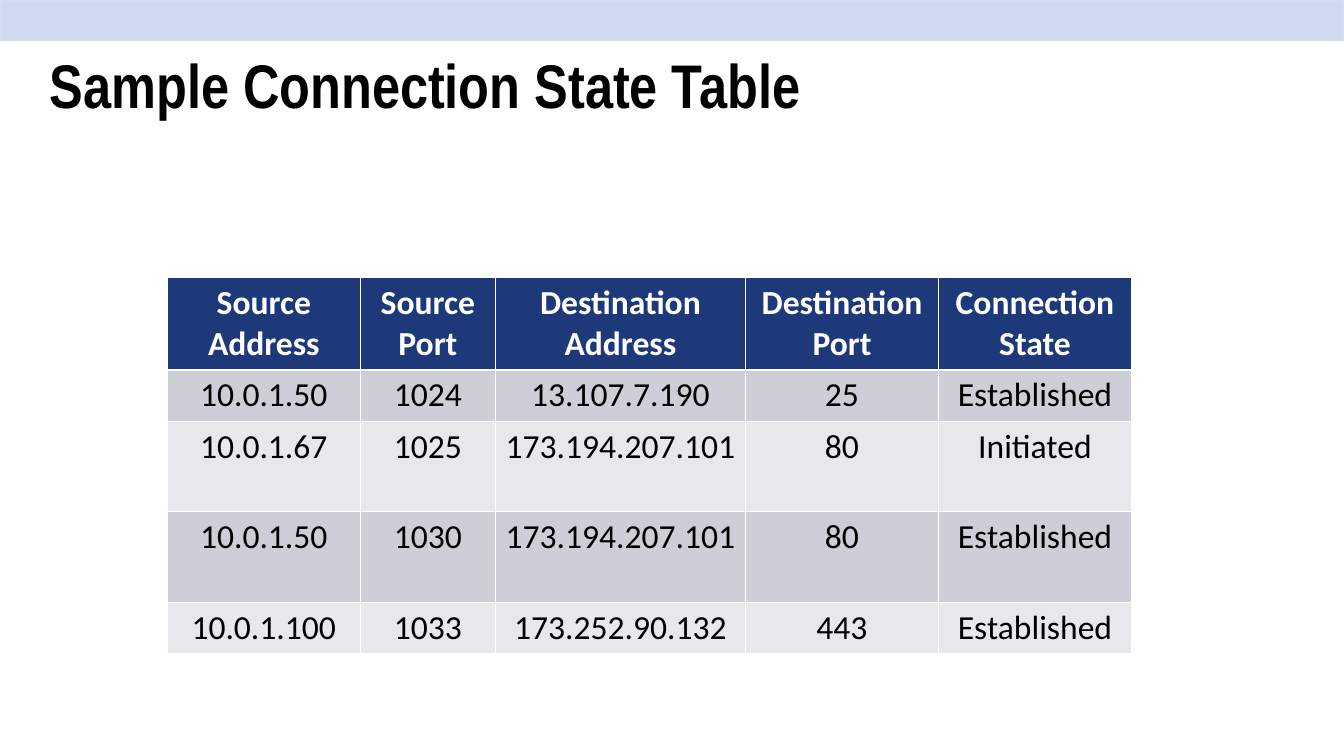
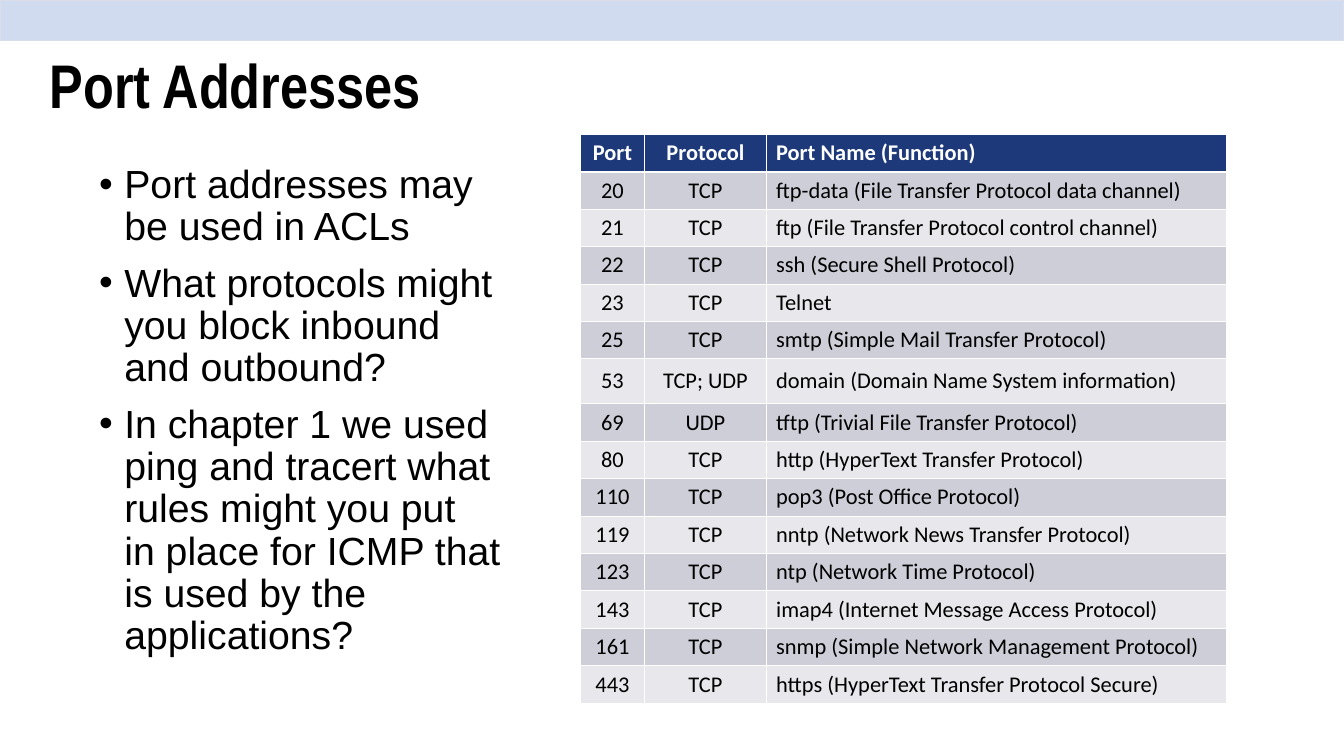
from dataclasses import dataclass

from lxml import etree
from pptx import Presentation
from pptx.dml.color import RGBColor
from pptx.enum.shapes import MSO_SHAPE
from pptx.enum.text import MSO_ANCHOR, MSO_AUTO_SIZE, PP_ALIGN
from pptx.oxml.ns import qn
from pptx.util import Pt

RECTANGLE = MSO_SHAPE.RECTANGLE
TOP, MIDDLE = MSO_ANCHOR.TOP, MSO_ANCHOR.MIDDLE
NO_AUTOFIT = MSO_AUTO_SIZE.NONE
LEFT, CENTER = PP_ALIGN.LEFT, PP_ALIGN.CENTER

TITLE_ONLY, TITLE_AND_BODY = 5, 1
BODY_INDEX = 1
SLIDE_WIDTH, SLIDE_HEIGHT = 1440, 810


@dataclass(frozen=True)
class Theme:
    band: str = "D1DBF0"
    band_line: str = "D9DEEA"
    text: str = "000000"
    header: str = "1D397A"
    header_text: str = "FFFFFF"
    grid: str = "FFFFFF"
    rows: tuple = ("CDCED7", "E8E8EC")
    title_font: str = "Arial Narrow"
    body_font: str = "Arial"
    table_font: str = "Calibri"
    title_size: int = 66
    body_size: int = 42
    large_table_size: int = 36
    small_table_size: int = 24
    line_spacing: float = 0.9
    bullet_gap: int = 15
    bullet_indent: int = 27


class Deck:
    def __init__(self, theme):
        self.theme = theme
        self.presentation = Presentation()
        self.presentation.slide_width = Pt(SLIDE_WIDTH)
        self.presentation.slide_height = Pt(SLIDE_HEIGHT)
        self.slide = None

    def add_slide(self, layout_index, title):
        layout = self.presentation.slide_layouts[layout_index]
        self.slide = self.presentation.slides.add_slide(layout)
        self.add_band()
        self.add_title(title)

    def add_band(self):
        """Draw the top band behind everything else on the slide."""
        shapes = self.slide.shapes
        band = shapes.add_shape(RECTANGLE, Pt(0), Pt(0), Pt(SLIDE_WIDTH), Pt(43.2))
        band.shadow.inherit = False
        band.fill.solid()
        band.fill.fore_color.rgb = RGBColor.from_string(self.theme.band)
        band.line.color.rgb = RGBColor.from_string(self.theme.band_line)
        band.line.width = Pt(1)
        shapes.element.insert(2, band.element)

    def place(self, shape, left, top, width, height, anchor):
        shape.left, shape.top = Pt(left), Pt(top)
        shape.width, shape.height = Pt(width), Pt(height)
        frame = shape.text_frame
        frame.word_wrap = True
        frame.auto_size = NO_AUTOFIT
        frame.vertical_anchor = anchor
        return frame

    def add_run(self, paragraph, text, font, size, color, bold=False):
        run = paragraph.add_run()
        run.text = text
        run.font.name = font
        run.font.size = Pt(size)
        run.font.bold = bold
        run.font.color.rgb = RGBColor.from_string(color)

    def add_title(self, text):
        theme = self.theme
        frame = self.place(self.slide.shapes.title, 46, 16.4, 1242, 156.2, MIDDLE)
        paragraph = frame.paragraphs[0]
        paragraph.alignment = LEFT
        paragraph.line_spacing = theme.line_spacing
        self.add_run(paragraph, text, theme.title_font, theme.title_size,
                     theme.text, bold=True)

    def add_bullets(self, items):
        """Fill the body; each item is a tuple of the lines of one bullet."""
        theme = self.theme
        body = self.slide.placeholders[BODY_INDEX]
        frame = self.place(body, 99, 172.8, 1242, 548.6, TOP)
        for number, lines in enumerate(items):
            paragraph = frame.add_paragraph() if number else frame.paragraphs[0]
            properties = paragraph._p.get_or_add_pPr()
            properties.set("marL", str(Pt(theme.bullet_indent)))
            properties.set("indent", str(-Pt(theme.bullet_indent)))
            paragraph.line_spacing = theme.line_spacing
            paragraph.space_before = Pt(theme.bullet_gap if number else 0)
            for line_number, line in enumerate(lines):
                if line_number:
                    paragraph.add_line_break()
                self.add_run(paragraph, line, theme.body_font, theme.body_size,
                             theme.text)

    def add_table(self, left, top, widths, heights, rows, size, alignments, anchor):
        theme = self.theme
        table = self.slide.shapes.add_table(
            len(rows), len(widths), Pt(left), Pt(top),
            Pt(sum(widths)), Pt(sum(heights))).table
        for column, width in zip(table.columns, widths):
            column.width = Pt(width)
        for row, height in zip(table.rows, heights):
            row.height = Pt(height)
        for row_index, values in enumerate(rows):
            header = row_index == 0
            fill = theme.header if header else theme.rows[(row_index - 1) % 2]
            color = theme.header_text if header else theme.text
            for column_index, value in enumerate(values):
                cell = table.cell(row_index, column_index)
                self.style_cell(cell, fill, anchor,
                                top_line=3 if row_index == 1 else 1,
                                bottom_line=3 if header else 1)
                paragraph = cell.text_frame.paragraphs[0]
                paragraph.alignment = alignments[column_index]
                self.add_run(paragraph, value, theme.table_font, size, color, header)

    def style_cell(self, cell, fill, anchor, top_line, bottom_line):
        cell.fill.solid()
        cell.fill.fore_color.rgb = RGBColor.from_string(fill)
        cell.vertical_anchor = anchor
        cell.margin_left = cell.margin_right = Pt(10.8)
        cell.margin_top = cell.margin_bottom = Pt(5.4)
        properties = cell._tc.get_or_add_tcPr()
        borders = (("a:lnL", 1), ("a:lnR", 1), ("a:lnT", top_line), ("a:lnB", bottom_line))
        for position, (tag, width) in enumerate(borders):
            line = etree.Element(qn(tag), w=str(Pt(width)))
            solid = etree.SubElement(line, qn("a:solidFill"))
            etree.SubElement(solid, qn("a:srgbClr"), val=self.theme.grid)
            properties.insert(position, line)


CONNECTIONS = [
    ("Source Address", "Source Port", "Destination Address", "Destination Port",
     "Connection State"),
    ("10.0.1.50", "1024", "13.107.7.190", "25", "Established"),
    ("10.0.1.67", "1025", "173.194.207.101", "80", "Initiated"),
    ("10.0.1.50", "1030", "173.194.207.101", "80", "Established"),
    ("10.0.1.100", "1033", "173.252.90.132", "443", "Established"),
]

PORTS = [
    ("Port", "Protocol", "Port Name (Function)"),
    ("20", "TCP", "ftp-data (File Transfer Protocol data channel)"),
    ("21", "TCP", "ftp (File Transfer Protocol control channel)"),
    ("22", "TCP", "ssh (Secure Shell Protocol)"),
    ("23", "TCP", "Telnet"),
    ("25", "TCP", "smtp (Simple Mail Transfer Protocol)"),
    ("53", "TCP; UDP", "domain (Domain Name System information)"),
    ("69", "UDP", "tftp (Trivial File Transfer Protocol)"),
    ("80", "TCP", "http (HyperText Transfer Protocol)"),
    ("110", "TCP", "pop3 (Post Office Protocol)"),
    ("119", "TCP", "nntp (Network News Transfer Protocol)"),
    ("123", "TCP", "ntp (Network Time Protocol)"),
    ("143", "TCP", "imap4 (Internet Message Access Protocol)"),
    ("161", "TCP", "snmp (Simple Network Management Protocol)"),
    ("443", "TCP", "https (HyperText Transfer Protocol Secure)"),
]

PORT_QUESTIONS = [
    ("Port addresses may", "be used in ACLs"),
    ("What protocols might", "you block inbound", "and outbound?"),
    ("In chapter 1 we used", "ping and tracert what", "rules might you put",
     "in place for ICMP that", "is used by the", "applications?"),
]


def add_state_table_slide(deck):
    deck.add_slide(TITLE_ONLY, "Sample Connection State Table")
    deck.add_table(179.3, 297.4, widths=(206.8, 144.8, 267.9, 206.8, 206.8),
                   heights=(97.2, 54, 97.2, 97.2, 54), rows=CONNECTIONS,
                   size=deck.theme.large_table_size,
                   alignments=[CENTER] * 5, anchor=TOP)


def add_port_slide(deck):
    deck.add_slide(TITLE_AND_BODY, "Port Addresses")
    deck.add_bullets(PORT_QUESTIONS)
    heights = [48.2 if port == "53" else 39.6 for port, _, _ in PORTS]
    deck.add_table(621.6, 144, widths=(69.3, 129.9, 493.7), heights=heights,
                   rows=PORTS, size=deck.theme.small_table_size,
                   alignments=(CENTER, CENTER, LEFT), anchor=MIDDLE)


def main():
    deck = Deck(Theme())
    add_state_table_slide(deck)
    add_port_slide(deck)
    deck.presentation.save("out.pptx")


if __name__ == "__main__":
    main()
